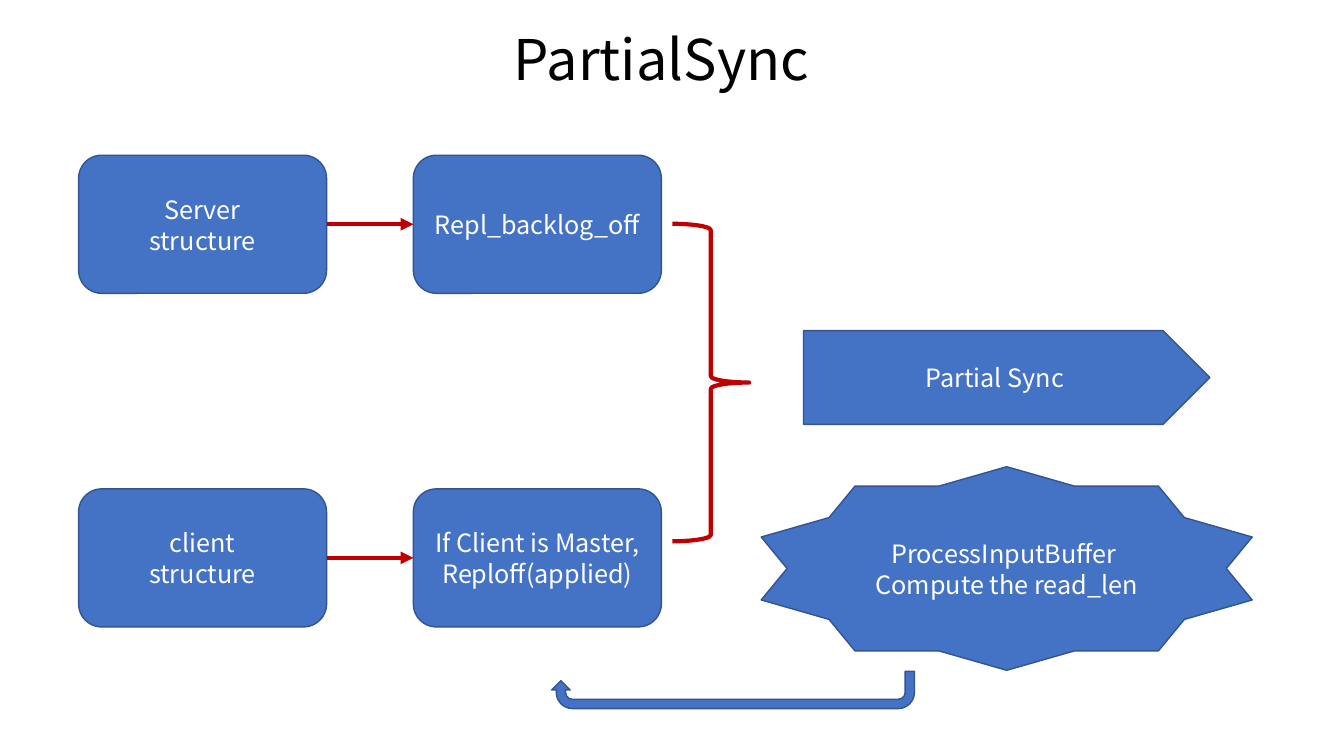
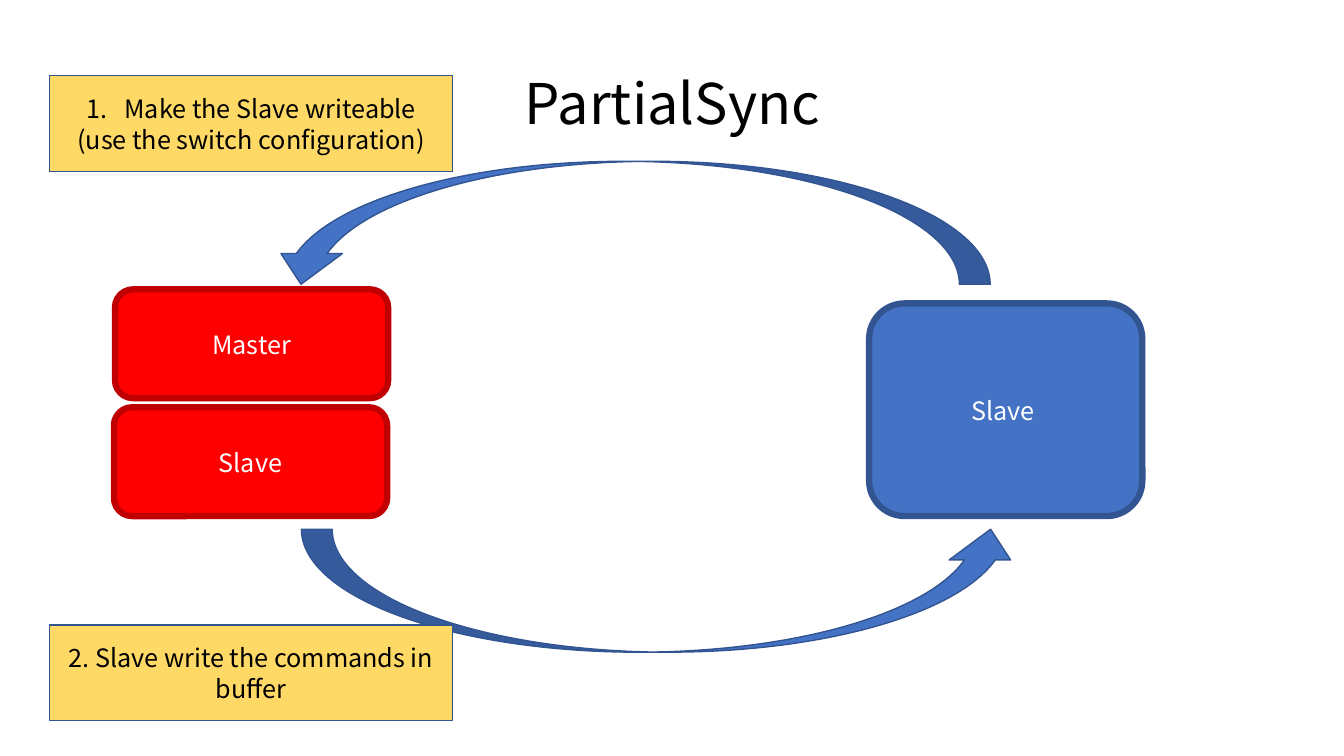
from dataclasses import dataclass

from lxml.etree import SubElement
from pptx import Presentation
from pptx.dml.color import RGBColor
from pptx.enum.shapes import MSO_CONNECTOR, MSO_SHAPE
from pptx.enum.text import MSO_ANCHOR, PP_ALIGN
from pptx.oxml.ns import qn
from pptx.slide import Slide
from pptx.text.text import TextFrame
from pptx.util import Inches, Pt

FONT = "Noto Sans CJK KR"
BLUE = RGBColor(0x44, 0x72, 0xC4)
NAVY = RGBColor(0x32, 0x54, 0x91)
RED = RGBColor(0xFF, 0x00, 0x00)
DARK = RGBColor(0xC0, 0x00, 0x00)
GOLD = RGBColor(0xFF, 0xD9, 0x66)
BLACK = RGBColor(0x00, 0x00, 0x00)
WHITE = RGBColor(0xFF, 0xFF, 0xFF)


@dataclass
class Node:
    kind: MSO_SHAPE
    left: float
    top: float
    width: float
    height: float
    text: str = ""
    fill: RGBColor | None = BLUE
    line: RGBColor = NAVY
    weight: float = 1
    ink: RGBColor = WHITE
    turn: float = 0
    listed: bool = False


def write(frame: TextFrame, text: str, *, size: float = 18,
          ink: RGBColor = WHITE, pitch: float | None = 22,
          listed: bool = False) -> None:
    frame.word_wrap = True
    frame.vertical_anchor = MSO_ANCHOR.MIDDLE
    frame.text = text
    for index, para in enumerate(frame.paragraphs):
        para.alignment = PP_ALIGN.CENTER
        if pitch:
            para.line_spacing = Pt(pitch)
        if listed and index == 0:
            props = para._p.get_or_add_pPr()
            props.set("marL", str(Inches(0.38)))
            props.set("indent", str(Inches(-0.38)))
            SubElement(props, qn("a:buFont"), typeface="+mj-lt")
            SubElement(props, qn("a:buAutoNum"), type="arabicPeriod")
        for run in para.runs:
            run.font.name = FONT
            run.font.size = Pt(size)
            run.font.color.rgb = ink


def head(slide: Slide, left: float, top: float) -> None:
    title = slide.shapes.title
    title.left, title.top = Inches(left), Inches(top)
    title.width, title.height = Inches(12.68), Inches(0.77)
    write(title.text_frame, "PartialSync", size=40, ink=BLACK, pitch=None)


def draw(slide: Slide, node: Node) -> None:
    shape = slide.shapes.add_shape(
        node.kind, Inches(node.left), Inches(node.top),
        Inches(node.width), Inches(node.height))
    shape.shadow.inherit = False
    shape.rotation = node.turn
    if node.fill is None:
        shape.fill.background()
    else:
        shape.fill.solid()
        shape.fill.fore_color.rgb = node.fill
    shape.line.color.rgb = node.line
    shape.line.width = Pt(node.weight)
    if node.text:
        write(shape.text_frame, node.text, ink=node.ink, listed=node.listed)


def link(slide: Slide, left: float, right: float, y: float) -> None:
    arrow = slide.shapes.add_connector(
        MSO_CONNECTOR.STRAIGHT, Inches(left), Inches(y),
        Inches(right), Inches(y))
    arrow.line.color.rgb = DARK
    arrow.line.width = Pt(3)
    SubElement(arrow.line._get_or_add_ln(), qn("a:tailEnd"), type="triangle")
    SubElement(arrow._element.spPr, qn("a:effectLst"))


def flow(slide: Slide) -> None:
    head(slide, 0.22, 0.19)
    wide, high = 2.46, 1.37
    start, end = 0.78, 4.1
    rows = (
        (1.54, "Server\nstructure", "Repl_backlog_off"),
        (4.85, "client\nstructure", "If Client is Master,\nReploff(applied)"),
    )
    for top, source, field in rows:
        for left, text in ((start, source), (end, field)):
            draw(slide, Node(MSO_SHAPE.ROUNDED_RECTANGLE,
                             left, top, wide, high, text))
        link(slide, start + wide, end, top + high / 2)
    for node in (
        Node(MSO_SHAPE.STAR_10_POINT, 7.55, 4.63, 4.87, 2.02,
             "ProcessInputBuffer \nCompute the read_len"),
        Node(MSO_SHAPE.U_TURN_ARROW, 5.47, 6.66, 3.6, 0.37, turn=180),
        Node(MSO_SHAPE.RIGHT_BRACE, 6.67, 2.22, 0.76, 3.15,
             fill=None, line=DARK, weight=3),
        Node(MSO_SHAPE.PENTAGON, 7.97, 3.28, 4.03, 0.93, "Partial Sync"),
    ):
        draw(slide, node)


def swap(slide: Slide) -> None:
    head(slide, 0.33, 0.63)
    draw(slide, Node(MSO_SHAPE.ROUNDED_RECTANGLE, 8.62, 3.01, 2.71, 2.11,
                     "Slave ", weight=4.5))
    for left, top, turn in ((2.99, 5.25, 0), (2.68, 1.6, 180)):
        draw(slide, Node(MSO_SHAPE.CURVED_UP_ARROW,
                         left, top, 7.14, 1.22, turn=turn))
    notes = (
        (0.75, "Make the Slave writeable\n(use the switch configuration)", True),
        (6.2, "2. Slave write the commands in buffer", False),
    )
    for top, text, listed in notes:
        draw(slide, Node(MSO_SHAPE.RECTANGLE, 0.49, top, 4, 0.95, text,
                         fill=GOLD, ink=BLACK, listed=listed))
    for left, top, text in ((1.14, 2.87, "Master"), (1.13, 4.04, "Slave")):
        draw(slide, Node(MSO_SHAPE.ROUNDED_RECTANGLE, left, top, 2.71, 1.08,
                         text, fill=RED, line=DARK, weight=4.5))


def main() -> None:
    deck = Presentation()
    deck.slide_width, deck.slide_height = Inches(13.33), Inches(7.5)
    for build in (flow, swap):
        build(deck.slides.add_slide(deck.slide_layouts[5]))
    deck.save("out.pptx")


if __name__ == "__main__":
    main()
